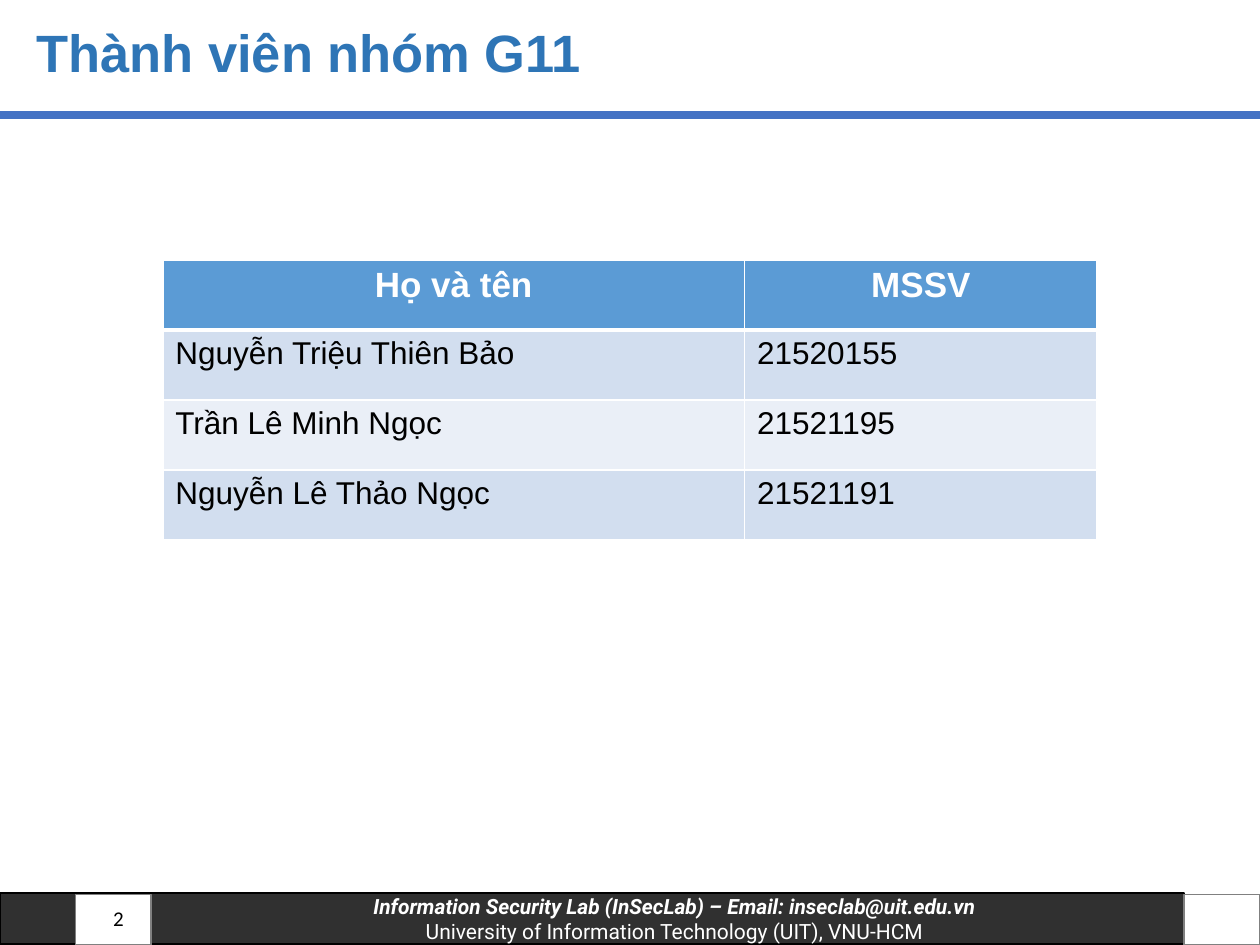
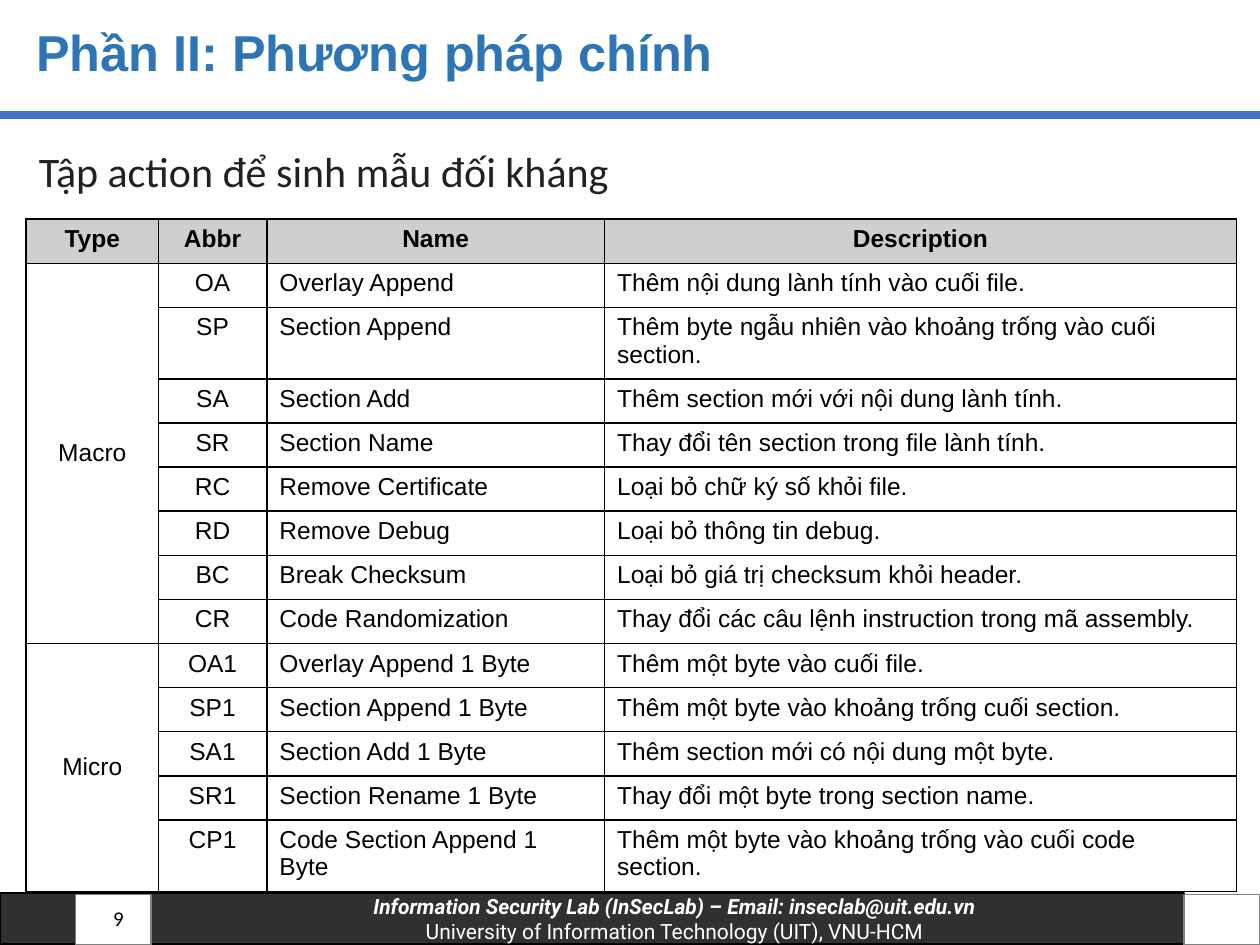
from dataclasses import dataclass

from lxml.etree import SubElement
from pptx import Presentation
from pptx.dml.color import RGBColor
from pptx.enum.shapes import MSO_CONNECTOR as Connector, MSO_SHAPE as Shape
from pptx.enum.text import MSO_ANCHOR as Anchor, PP_ALIGN as Align
from pptx.oxml.ns import qn
from pptx.util import Pt

PAGE_WIDTH, PAGE_HEIGHT = 720, 540
WHITE, BLACK, GREY = "FFFFFF", "000000", "808080"
TITLE_BLUE, RULE_BLUE = "2E75B6", "4472C4"
HEADER_BLUE, BAND_DARK, BAND_LIGHT = "5B9BD5", "D2DEEF", "EAEFF7"
HEADER_GREY, INK = "D0CECE", "212120"
BOX_SIZE = 43.2
FOOTER_TOP, FOOTER_HEIGHT = 510.5, 28.8
FOOTER_INDENT = 94.3


@dataclass(frozen=True)
class Area:
    left: float
    top: float
    width: float
    height: float

    def lengths(self):
        return Pt(self.left), Pt(self.top), Pt(self.width), Pt(self.height)


@dataclass(frozen=True)
class TableStyle:
    header_fill: str
    body_fills: tuple
    header_color: str
    header_size: float
    body_size: float
    border: str
    header_rule: float
    centered_columns: tuple = ()


FOOTER_BAND = Area(0, FOOTER_TOP, PAGE_WIDTH - BOX_SIZE, FOOTER_HEIGHT)
FOOTER_BOXES = [Area(left, 511.2, BOX_SIZE, FOOTER_HEIGHT)
                for left in (BOX_SIZE, PAGE_WIDTH - BOX_SIZE)]
TITLE_AREA = Area(13.7, 11.5, 646.5, 40.3)
NUMBER_AREA = Area(46.1, FOOTER_TOP, 31.7, FOOTER_HEIGHT)
SUBTITLE_AREA = Area(15.1, 73.5, 690.5, 51.8)
RULE_TOP = 65.5

MEMBER_STYLE = TableStyle(HEADER_BLUE, (BAND_DARK, BAND_LIGHT), WHITE,
                          20, 18, WHITE, 3)
ACTION_STYLE = TableStyle(HEADER_GREY, (WHITE,), BLACK,
                          14, 14, BLACK, 1, centered_columns=(0, 1))

MEMBERS = [
    ("Họ và tên", "MSSV"),
    ("Nguyễn Triệu Thiên Bảo", "21520155"),
    ("Trần Lê Minh Ngọc", "21521195"),
    ("Nguyễn Lê Thảo Ngọc", "21521191"),
]
ACTION_HEADER = ("Type", "Abbr", "Name", "Description")
ACTIONS = {
    "Macro": [
        ("OA", "Overlay Append", "Thêm nội dung lành tính vào cuối file."),
        ("SP", "Section Append",
         "Thêm byte ngẫu nhiên vào khoảng trống vào cuối section."),
        ("SA", "Section Add", "Thêm section mới với nội dung lành tính."),
        ("SR", "Section Name", "Thay đổi tên section trong file lành tính."),
        ("RC", "Remove Certificate", "Loại bỏ chữ ký số khỏi file."),
        ("RD", "Remove Debug", "Loại bỏ thông tin debug."),
        ("BC", "Break Checksum", "Loại bỏ giá trị checksum khỏi header."),
        ("CR", "Code Randomization",
         "Thay đổi các câu lệnh instruction trong mã assembly."),
    ],
    "Micro": [
        ("OA1", "Overlay Append 1 Byte", "Thêm một byte vào cuối file."),
        ("SP1", "Section Append 1 Byte",
         "Thêm một byte vào khoảng trống cuối section."),
        ("SA1", "Section Add 1 Byte",
         "Thêm section mới có nội dung một byte."),
        ("SR1", "Section Rename 1 Byte",
         "Thay đổi một byte trong section name."),
        ("CP1", "Code Section Append 1 Byte",
         "Thêm một byte vào khoảng trống vào cuối code section."),
    ],
}


def paint(target, color: str) -> None:
    """Give a fill a solid colour."""
    target.solid()
    target.fore_color.rgb = RGBColor.from_string(color)


def write(para, text: str, *, size: float, font="Arial", color=BLACK,
          bold=False, italic=False, align=Align.LEFT, spacing=None) -> None:
    para.alignment = align
    if spacing:
        para.line_spacing = spacing
    span = para.add_run()
    span.text = text
    span.font.name = font
    span.font.size = Pt(size)
    span.font.bold = bold
    span.font.italic = italic
    span.font.color.rgb = RGBColor.from_string(color)


def add_text(page, area: Area, text: str, **text_format) -> None:
    frame = page.shapes.add_textbox(*area.lengths()).text_frame
    frame.word_wrap = True
    frame.vertical_anchor = Anchor.MIDDLE
    write(frame.paragraphs[0], text, **text_format)


def add_box(page, area: Area, fill: str, outline: str):
    box = page.shapes.add_shape(Shape.RECTANGLE, *area.lengths())
    box.shadow.inherit = False
    paint(box.fill, fill)
    paint(box.line.fill, outline)
    box.line.width = Pt(1)
    return box


def add_footer(page, number: int) -> None:
    band = add_box(page, FOOTER_BAND, BLACK, BLACK)
    color = band.fill._xPr.find(qn("a:solidFill"))[0]
    SubElement(color, qn("a:alpha"), val="81000")
    frame = band.text_frame
    frame.word_wrap = True
    frame.vertical_anchor = Anchor.MIDDLE
    frame.margin_left = frame.margin_right = Pt(10.8)
    frame.margin_top = frame.margin_bottom = Pt(5)
    lines = [
        ("Information Security Lab (InSecLab) – Email: inseclab@uit.edu.vn", True),
        ("University of Information Technology (UIT), VNU-HCM", False),
    ]
    for index, (text, strong) in enumerate(lines):
        para = frame.add_paragraph() if index else frame.paragraphs[0]
        write(para, text, size=12, font="Roboto", color=WHITE,
              bold=strong, italic=strong, align=Align.CENTER)
        properties = para._p.get_or_add_pPr()
        properties.set("marL", str(Pt(FOOTER_INDENT)))
        properties.set("indent", "0")
    for area in FOOTER_BOXES:
        add_box(page, area, WHITE, GREY)
    add_text(page, NUMBER_AREA, str(number), size=12, font="Calibri",
             align=Align.RIGHT)


def add_page(deck, title: str, number: int, title_size: float):
    """Start a page with the shared title, rule and footer."""
    page = deck.slides.add_slide(deck.slide_layouts[6])
    add_footer(page, number)
    rule = page.shapes.add_connector(Connector.STRAIGHT, Pt(0), Pt(RULE_TOP),
                                     Pt(PAGE_WIDTH), Pt(RULE_TOP))
    paint(rule.line.fill, RULE_BLUE)
    rule.line.width = Pt(4.5)
    SubElement(rule._element.spPr, qn("a:effectLst"))
    add_text(page, TITLE_AREA, title, size=title_size, color=TITLE_BLUE,
             bold=True, spacing=0.9)
    return page


def set_borders(cell, color: str, widths: dict) -> None:
    properties = cell._tc.get_or_add_tcPr()
    for side, width in widths.items():
        line = SubElement(properties, qn(f"a:ln{side}"), w=str(Pt(width)))
        fill = SubElement(line, qn("a:solidFill"))
        SubElement(fill, qn("a:srgbClr"), val=color)


def add_grid(page, left: float, top: float, widths: list, row_height: float,
             rows: list, style: TableStyle):
    """Draw a table; cells holding None stay empty for merging."""
    area = Area(left, top, sum(widths), row_height * len(rows))
    table = page.shapes.add_table(len(rows), len(widths), *area.lengths()).table
    table.first_row = table.horz_banding = False
    for column, width in zip(table.columns, widths):
        column.width = Pt(width)
    for row_index, texts in enumerate(rows):
        table.rows[row_index].height = Pt(row_height)
        header = row_index == 0
        fill = (style.header_fill if header
                else style.body_fills[(row_index - 1) % len(style.body_fills)])
        borders = {"L": 1, "R": 1,
                   "T": style.header_rule if row_index == 1 else 1,
                   "B": style.header_rule if header else 1}
        for column_index, text in enumerate(texts):
            cell = table.cell(row_index, column_index)
            set_borders(cell, style.border, borders)
            paint(cell.fill, fill)
            if text is None:
                continue
            centered = header or column_index in style.centered_columns
            write(cell.text_frame.paragraphs[0], text, bold=header,
                  size=style.header_size if header else style.body_size,
                  color=style.header_color if header else BLACK,
                  align=Align.CENTER if centered else Align.LEFT)
    return table


def build_members(deck) -> None:
    page = add_page(deck, "Thành viên nhóm G11", 2, 30)
    add_grid(page, 93, 148.5, [332.5, 201.5], 40, MEMBERS, MEMBER_STYLE)


def build_actions(deck) -> None:
    page = add_page(deck, "Phần II: Phương pháp chính", 9, 28.8)
    add_text(page, SUBTITLE_AREA, "Tập action để sinh mẫu đối kháng", size=24,
             font="Calibri", color=INK, align=Align.JUSTIFY, spacing=0.9)
    rows = [ACTION_HEADER]
    for kind, actions in ACTIONS.items():
        rows += [(None if index else kind, *action)
                 for index, action in enumerate(actions)]
    table = add_grid(page, 15, 125.25, [75.5, 62, 193, 361], 25.2, rows,
                     ACTION_STYLE)
    # One type cell covers all its actions
    first = 1
    for actions in ACTIONS.values():
        last = first + len(actions) - 1
        type_cell = table.cell(first, 0)
        type_cell.merge(table.cell(last, 0))
        type_cell.vertical_anchor = Anchor.MIDDLE
        first = last + 1


def main() -> None:
    deck = Presentation()
    deck.slide_width, deck.slide_height = Pt(PAGE_WIDTH), Pt(PAGE_HEIGHT)
    build_members(deck)
    build_actions(deck)
    deck.save("out.pptx")


if __name__ == "__main__":
    main()
